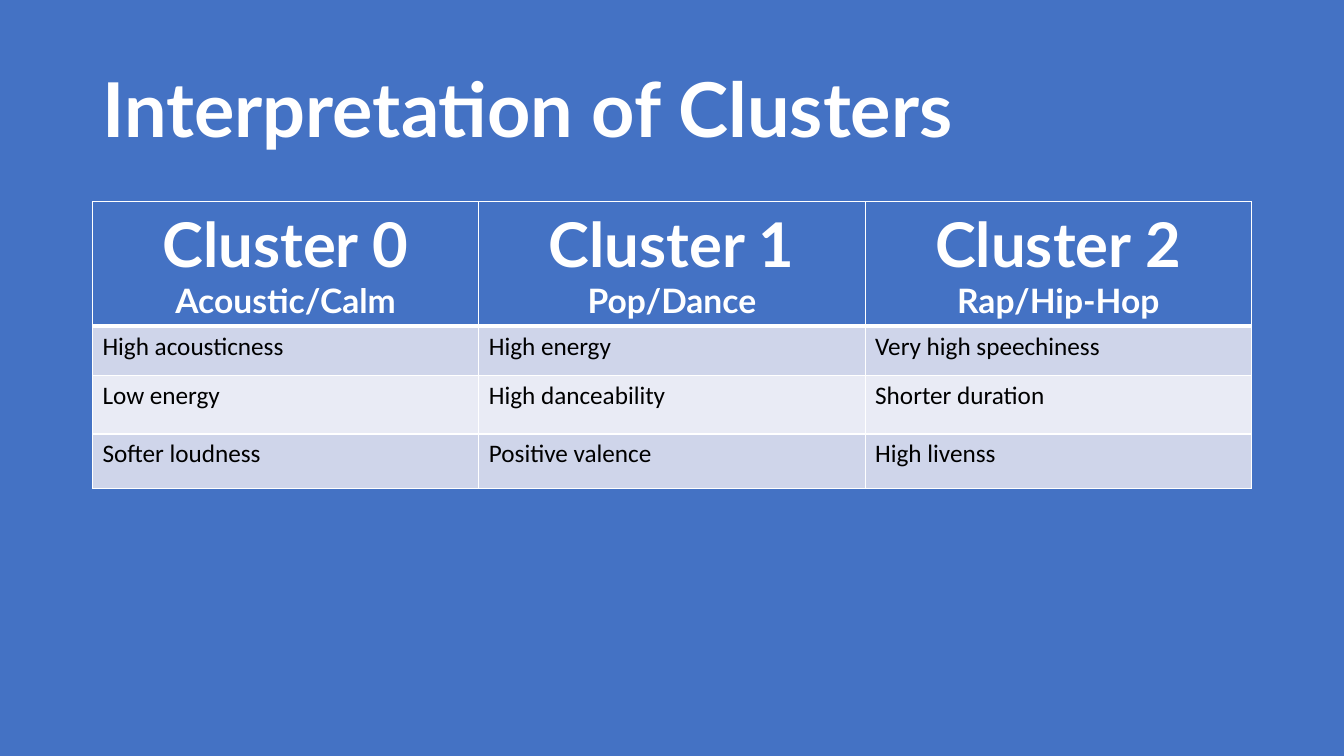
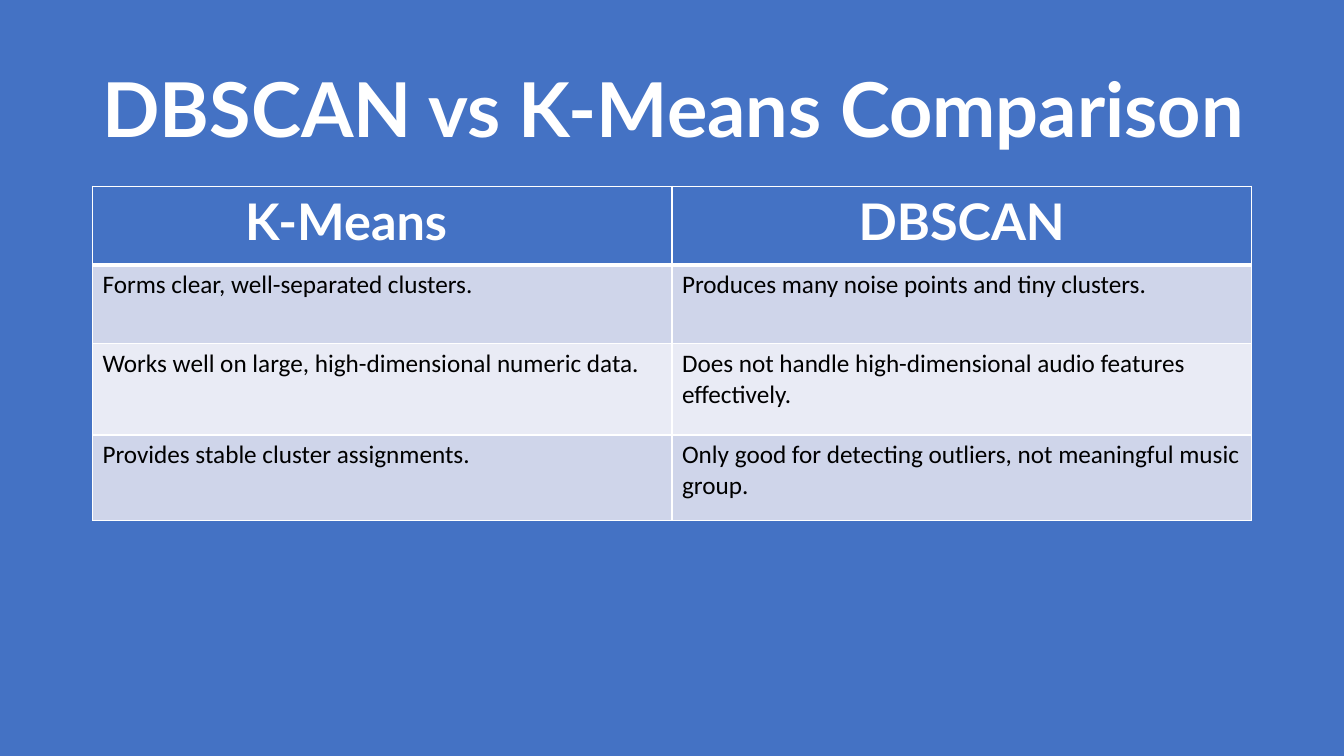
from lxml.etree import SubElement
from pptx import Presentation
from pptx.dml.color import RGBColor
from pptx.enum.text import MSO_ANCHOR as Anchor, MSO_AUTO_SIZE as AutoSize, PP_ALIGN as Align
from pptx.oxml.ns import qn
from pptx.util import Cm, Pt

BLUE, WHITE, BLACK = "4472C4", "FFFFFF", "000000"
BANDS = ("CFD5EA", "E9EBF5")
LEFT, WIDTH, TITLE_WIDTH = 2.33, 29.21, 30.5


def color(code):
    return RGBColor.from_string(code)


def apply(target, values):
    for name, value in values.items():
        setattr(target, name, value)


class Deck:
    heading = {"name": "Lato", "bold": True}
    body = {"name": "Calibri", "bold": False, "size": Pt(18)}

    def __init__(self):
        self.show = Presentation()
        apply(self.show, {"slide_width": Cm(33.87), "slide_height": Cm(19.05)})
        self.page = None

    def add_page(self, title):
        self.page = self.show.slides.add_slide(self.show.slide_layouts[5])
        fill = self.page.background.fill
        fill.solid()
        fill.fore_color.rgb = color(BLUE)
        box = self.page.shapes.title
        apply(box, {
            "left": Cm(LEFT),
            "top": Cm(1.01),
            "width": Cm(TITLE_WIDTH),
            "height": Cm(3.68),
        })
        apply(box.text_frame, {
            "word_wrap": True,
            "auto_size": AutoSize.NONE,
            "vertical_anchor": Anchor.MIDDLE,
        })
        para = box.text_frame.paragraphs[0]
        apply(para, {"alignment": Align.LEFT, "line_spacing": 0.9})
        self.add_span(para, title, WHITE, {**self.heading, "size": Pt(54)})

    def add_span(self, para, text, code, font):
        span = para.add_run()
        span.text = text
        apply(span.font, font)
        span.font.color.rgb = color(code)

    def paint_cell(self, cell, code, top=1, bottom=1):
        properties = cell._tc.get_or_add_tcPr()
        for side, points in {"L": 1, "R": 1, "T": top, "B": bottom}.items():
            line = SubElement(properties, qn(f"a:ln{side}"), w=str(Pt(points)))
            SubElement(SubElement(line, qn("a:solidFill")), qn("a:srgbClr"), val=WHITE)
        cell.fill.solid()
        cell.fill.fore_color.rgb = color(code)

    def add_header(self, cell, lines):
        self.paint_cell(cell, BLUE, bottom=3)
        frame = cell.text_frame
        for index, (text, size) in enumerate(lines):
            para = frame.add_paragraph() if index else frame.paragraphs[0]
            para.alignment = Align.CENTER
            self.add_span(para, text, WHITE, {**self.heading, "size": Pt(size)})

    def add_table(self, top, heights, headers, rows):
        table = self.page.shapes.add_table(
            len(heights), len(headers), Cm(LEFT), Cm(top), Cm(WIDTH), Cm(sum(heights))
        ).table
        for row, height in zip(table.rows, heights):
            row.height = Cm(height)
        for column, lines in enumerate(headers):
            self.add_header(table.cell(0, column), lines)
        for number, texts in enumerate(rows, 1):
            for column, text in enumerate(texts):
                cell = table.cell(number, column)
                self.paint_cell(cell, BANDS[(number - 1) % 2], top=3 if number == 1 else 1)
                self.add_span(cell.text_frame.paragraphs[0], text, BLACK, self.body)
        return table


def main():
    deck = Deck()

    deck.add_page("Interpretation of Clusters")
    genres = ("Acoustic/Calm", "Pop/Dance", "Rap/Hip-Hop")
    deck.add_table(
        5.08,
        (3.12, 1.24, 1.48, 1.38),
        [((f"Cluster {number}", 44), (genre, 24)) for number, genre in enumerate(genres)],
        (
            ("High acousticness", "High energy", "Very high speechiness"),
            ("Low energy", "High danceability", "Shorter duration"),
            ("Softer loudness", "Positive valence", "High livenss"),
        ),
    )

    deck.add_page("DBSCAN vs K-Means Comparison")
    comparison = deck.add_table(
        4.69,
        (1.98, 1.98, 2.31, 2.16),
        [((method, 36),) for method in ("K-Means", "DBSCAN")],
        (
            ("Forms clear, well-separated clusters.",
             "Produces many noise points and tiny clusters."),
            ("Works well on large, high-dimensional numeric data.",
             "Does not handle high-dimensional audio features effectively."),
            ("Provides stable cluster assignments.",
             "Only good for detecting outliers, not meaningful music group."),
        ),
    )
    first = comparison.cell(0, 0)
    first.margin_left = Cm(3.85)
    first.text_frame.paragraphs[0].alignment = Align.LEFT

    deck.show.save("out.pptx")


if __name__ == "__main__":
    main()
